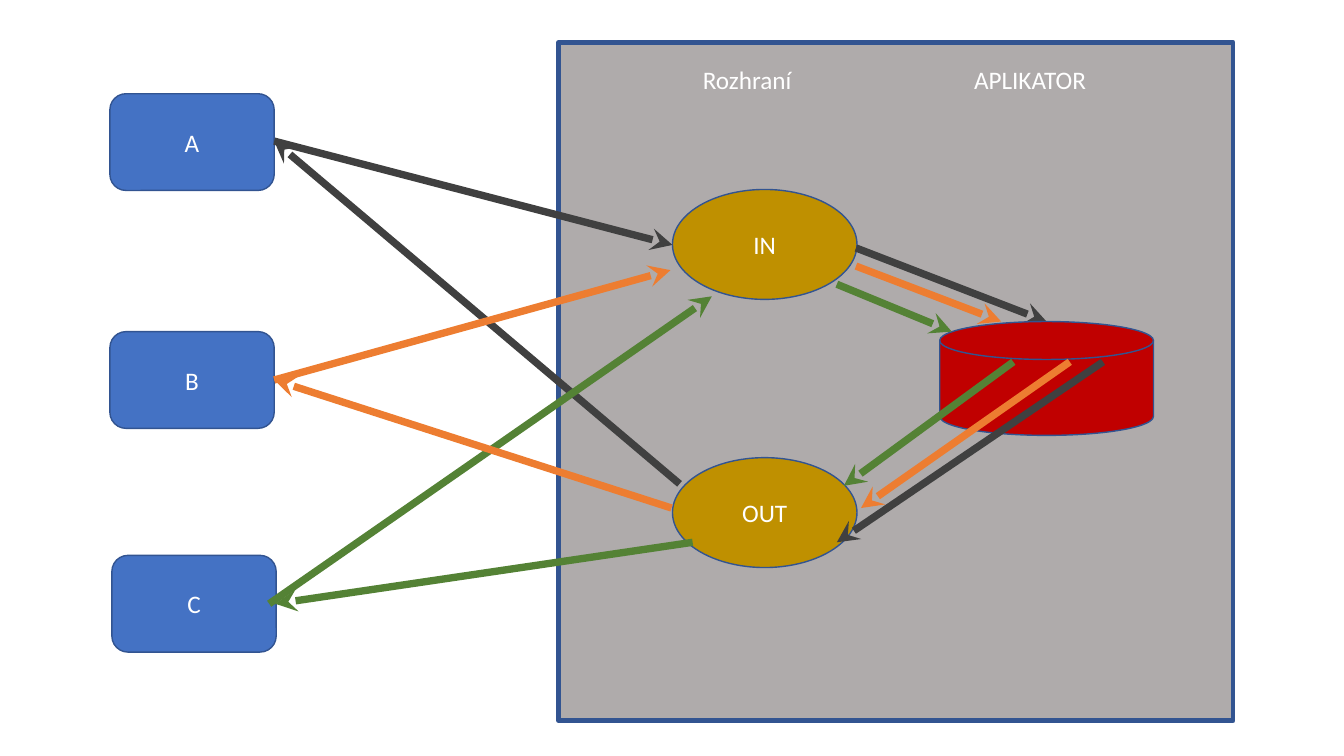
"""Build the slide showing systems A, B and C exchanging data with the applicator."""
import dataclasses

import lxml.etree
import pptx
import pptx.dml.color
import pptx.enum.shapes
import pptx.enum.text
import pptx.oxml.ns
import pptx.util

Inches = pptx.util.Inches
MSO = pptx.enum.shapes.MSO_SHAPE
ANCHOR = pptx.enum.text.MSO_ANCHOR
ALIGN = pptx.enum.text.PP_ALIGN


@dataclasses.dataclass(frozen=True)
class Theme:
    """Colours and type sizes of the slide."""
    font: str = "Calibri"
    size: float = 18
    text: str = "FFFFFF"
    outline: str = "325491"
    system: str = "4472C4"
    panel: str = "AFABAB"
    port: str = "BF9000"
    store: str = "C00000"
    flow_a: str = "404040"
    flow_b: str = "ED7D31"
    flow_c: str = "548235"
    thin: float = 1
    frame: float = 3.25
    arrow: float = 5.25


@dataclasses.dataclass(frozen=True)
class Node:
    """A preset shape with an optional label."""
    kind: MSO
    left: float
    top: float
    width: float
    height: float
    fill: str
    label: str = ""
    weight: float = Theme.thin


@dataclasses.dataclass(frozen=True)
class Flow:
    """An arrow between two points."""
    start: tuple[float, float]
    end: tuple[float, float]
    color: str


THEME = Theme()


def rgb(value: str) -> pptx.dml.color.RGBColor:
    """Return the colour for a hex value."""
    return pptx.dml.color.RGBColor.from_string(value)


def apply(target: object, values: dict[str, object]) -> None:
    """Set each named attribute on the target."""
    for name, value in values.items():
        setattr(target, name, value)


def style_line(line: object, color: str, weight: float) -> None:
    """Give a line its colour and width."""
    line.color.rgb = rgb(color)
    line.width = pptx.util.Pt(weight)


def write(sp: object, text: str, align: ALIGN) -> object:
    """Write one paragraph into a shape and return it."""
    tf = sp.text_frame
    apply(tf, {"word_wrap": True, "vertical_anchor": ANCHOR.MIDDLE})
    p = tf.paragraphs[0]
    p.alignment = align
    r = p.add_run()
    r.text = text
    apply(r.font, {"name": THEME.font, "size": pptx.util.Pt(THEME.size)})
    r.font.color.rgb = rgb(THEME.text)
    return p


def draw_node(slide: object, node: Node) -> object:
    """Draw a node and return its shape."""
    box = map(Inches, (node.left, node.top, node.width, node.height))
    sp = slide.shapes.add_shape(node.kind, *box)
    sp.shadow.inherit = False
    sp.fill.solid()
    sp.fill.fore_color.rgb = rgb(node.fill)
    style_line(sp.line, THEME.outline, node.weight)
    if node.label:
        write(sp, node.label, ALIGN.CENTER)
    return sp


def draw_flow(slide: object, flow: Flow) -> None:
    """Draw an arrow with a stealth head at its end."""
    ends = map(Inches, (*flow.start, *flow.end))
    cxn = slide.shapes.add_connector(pptx.enum.shapes.MSO_CONNECTOR.STRAIGHT, *ends)
    style_line(cxn.line, flow.color, THEME.arrow)
    qn = pptx.oxml.ns.qn
    ln = cxn.line._get_or_add_ln()
    lxml.etree.SubElement(ln, qn("a:tailEnd"), type="stealth")
    lxml.etree.SubElement(cxn._element.spPr, qn("a:effectLst"))


def write_headings(sp: object, headings: list[str], inset: float, step: float) -> None:
    """Write headings on one tabbed line at the top of the panel."""
    p = write(sp, "\t".join(headings), ALIGN.LEFT)
    apply(sp.text_frame, {"vertical_anchor": ANCHOR.TOP,
                          "margin_left": Inches(inset), "margin_top": Inches(0.22)})
    qn = pptx.oxml.ns.qn
    tabs = lxml.etree.SubElement(p._p.get_or_add_pPr(), qn("a:tabLst"))
    lxml.etree.SubElement(tabs, qn("a:tab"), pos=str(Inches(step)), algn="l")


SYSTEMS = [Node(MSO.ROUNDED_RECTANGLE, left, top, 1.63, 0.96, THEME.system, label)
           for label, left, top in (("A", 1.09, 0.93), ("B", 1.09, 3.29), ("C", 1.11, 5.51))]
PANEL = Node(MSO.RECTANGLE, 5.54, 0.42, 6.69, 6.73, THEME.panel, weight=THEME.frame)
PORTS = [Node(MSO.OVAL, 6.67, top, 1.83, 1.09, THEME.port, label)
         for label, top in (("IN", 1.88), ("OUT", 4.54))]
STORE = Node(MSO.FLOWCHART_MAGNETIC_DISK, 9.32, 3.19, 2.12, 1.13, THEME.store)

A_SIDE, B_SIDE = (2.72, 1.4), (2.72, 3.77)
FLOWS_BEHIND = [
    Flow(A_SIDE, (6.67, 2.43), THEME.flow_a),
    Flow((8.49, 2.46), (10.38, 3.19), THEME.flow_a),
    Flow((6.74, 4.8), A_SIDE, THEME.flow_a),
]
FLOWS_FRONT = [
    Flow((10.94, 3.59), (8.3, 5.38), THEME.flow_a),
    Flow(B_SIDE, (6.65, 2.68), THEME.flow_b),
    Flow((8.49, 2.64), (9.93, 3.19), THEME.flow_b),
    Flow((2.67, 5.99), (7.06, 2.94), THEME.flow_c),
    Flow((8.3, 2.82), (9.44, 3.29), THEME.flow_c),
    Flow((10.61, 3.59), (8.54, 5.04), THEME.flow_b),
    Flow((6.87, 5.38), (2.73, 5.99), THEME.flow_c),
    Flow((6.66, 5.04), B_SIDE, THEME.flow_b),
    Flow((10.05, 3.59), (8.37, 4.82), THEME.flow_c),
]


def main() -> None:
    """Build and save the presentation."""
    prs = pptx.Presentation()
    apply(prs, {"slide_width": Inches(13.33), "slide_height": Inches(7.5)})
    slide = prs.slides.add_slide(prs.slide_layouts[6])
    for node in SYSTEMS:
        draw_node(slide, node)
    write_headings(draw_node(slide, PANEL), ["Rozhraní", "APLIKATOR"], 1.43, 2.69)
    for node in PORTS:
        draw_node(slide, node)
    for flow in FLOWS_BEHIND:
        draw_flow(slide, flow)
    draw_node(slide, STORE)
    for flow in FLOWS_FRONT:
        draw_flow(slide, flow)
    prs.save("out.pptx")


main()
